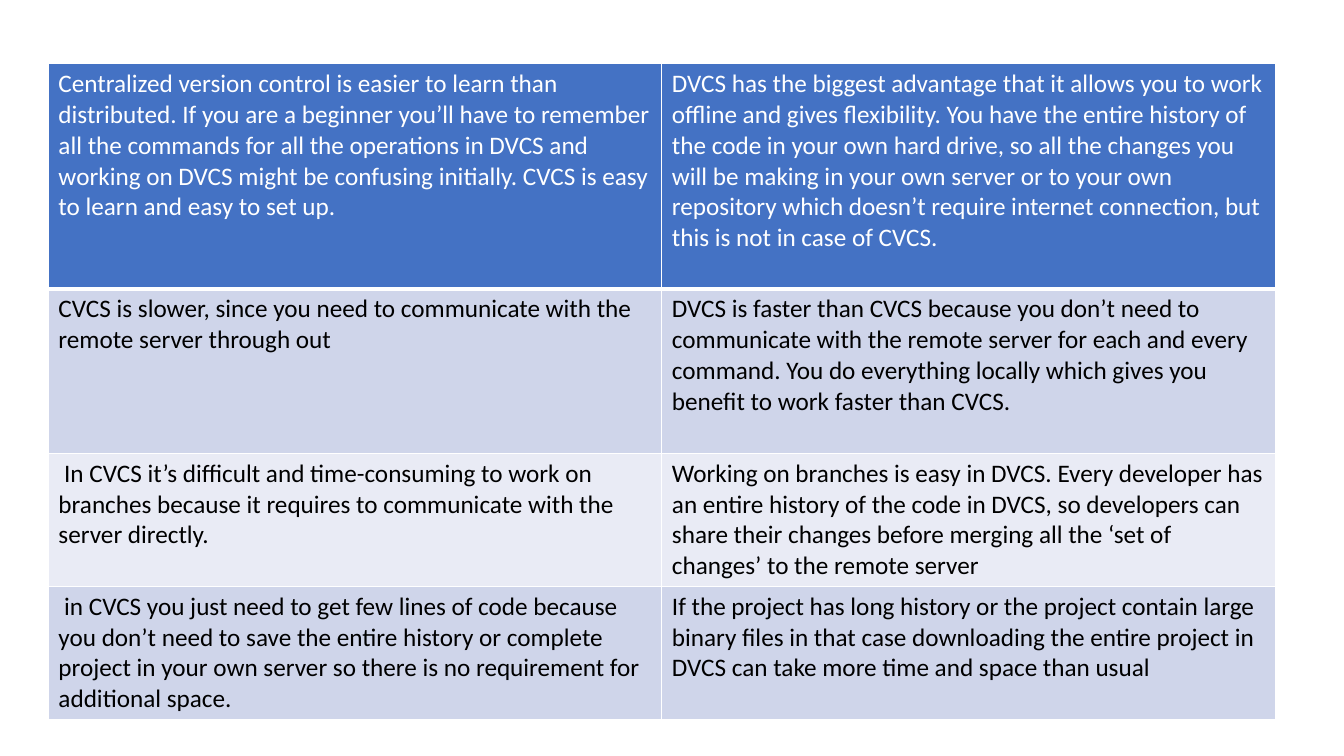
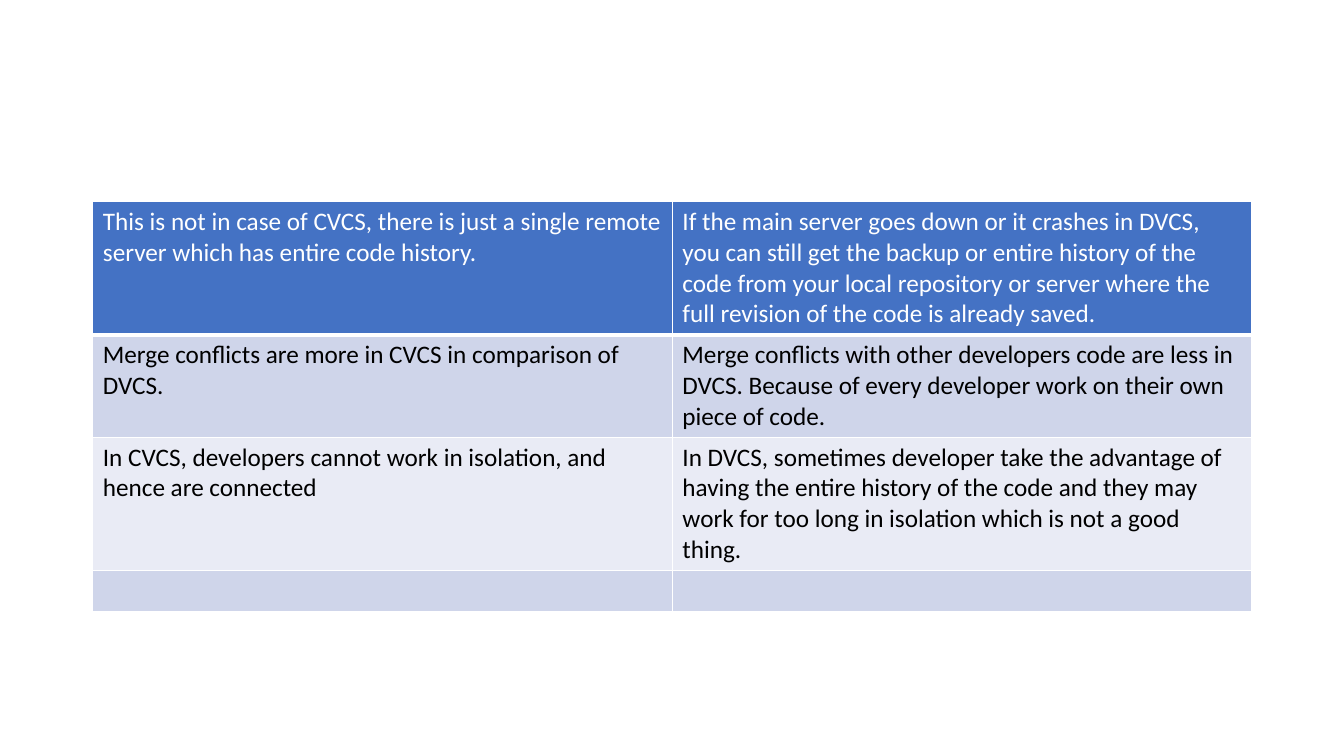
from dataclasses import dataclass

from lxml import etree
from pptx import Presentation
from pptx.dml.color import RGBColor
from pptx.oxml.ns import qn
from pptx.slide import Slide
from pptx.table import _Cell
from pptx.util import Cm, Pt

WHITE, BLACK = "FFFFFF", "000000"
HEAD = "4472C4"
BANDS = ("E9EBF5", "CFD5EA")
FONT = {"name": "Calibri", "size": Pt(18), "bold": False}
SIDES = ("lnL", "lnR", "lnT", "lnB")
THIN, THICK = 1, 3
BLANK = 6


@dataclass(frozen=True)
class Row:
    """One table row: its height in cm and its two texts."""
    high: float
    left: str = ""
    right: str = ""


@dataclass(frozen=True)
class Grid:
    """A two-column table with its place and width in cm."""
    left: float
    top: float
    wide: float
    rows: tuple[Row, ...]


GRIDS = (
    Grid(1.22, 1.61, 30.92, (
        Row(5.67,
            "Centralized version control is easier to learn than distributed. "
            "If you are a beginner you’ll have to remember all the commands for "
            "all the operations in DVCS and working on DVCS might be confusing "
            "initially. CVCS is easy to learn and easy to set up.",
            "DVCS has the biggest advantage that it allows you to work offline "
            "and gives flexibility. You have the entire history of the code in "
            "your own hard drive, so all the changes you will be making in your "
            "own server or to your own repository which doesn’t require internet "
            "connection, but this is not in case of CVCS."),
        Row(4.14,
            "CVCS is slower, since you need to communicate with the remote "
            "server through out",
            "DVCS is faster than CVCS because you don’t need to communicate with "
            "the remote server for each and every command. You do everything "
            "locally which gives you benefit to work faster than CVCS."),
        Row(3.35,
            " In CVCS it’s difficult and time-consuming to work on branches "
            "because it requires to communicate with the server directly.",
            "Working on branches is easy in DVCS. Every developer has an entire "
            "history of the code in DVCS, so developers can share their changes "
            "before merging all the ‘set of changes’ to the remote server"),
        Row(3.35,
            " in CVCS you just need to get few lines of code because you don’t "
            "need to save the entire history or complete project in your own "
            "server so there is no requirement for additional space.",
            "If the project has long history or the project contain large binary "
            "files in that case downloading the entire project in DVCS can take "
            "more time and space than usual"),
    )),
    Grid(2.34, 5.08, 29.21, (
        Row(3.35,
            "This is not in case of CVCS, there is just a single remote server "
            "which has entire code history.",
            "If the main server goes down or it crashes in DVCS, you can still "
            "get the backup or entire history of the code from your local "
            "repository or server where the full revision of the code is already "
            "saved."),
        Row(2.57,
            "Merge conflicts are more in CVCS in comparison of DVCS.",
            "Merge conflicts with other developers code are less in DVCS. "
            "Because of every developer work on their own piece of code."),
        Row(3.35,
            "In CVCS, developers cannot work in isolation, and hence are connected",
            "In DVCS, sometimes developer take the advantage of having the entire "
            "history of the code and they may work for too long in isolation "
            "which is not a good thing. "),
        Row(1.03),
    )),
)


def paint(target, shade: str) -> None:
    """Give a fill or a font colour its hex shade."""
    target.rgb = RGBColor.from_string(shade)


def edge(cell: _Cell, side: str, width: float) -> None:
    """Add one white border line to a cell."""
    props = cell._tc.get_or_add_tcPr()
    line = etree.Element(qn(f"a:{side}"), w=str(Pt(width)))
    fill = etree.SubElement(line, qn("a:solidFill"))
    etree.SubElement(fill, qn("a:srgbClr"), val=WHITE)
    props.insert(SIDES.index(side), line)


def style(cell: _Cell, text: str, line: int) -> None:
    """Fill, border and write the cell of the given row number."""
    head = line == 0
    cell.fill.solid()
    paint(cell.fill.fore_color, HEAD if head else BANDS[line % 2])
    for side in SIDES:
        heavy = (head and side == "lnB") or (line == 1 and side == "lnT")
        edge(cell, side, THICK if heavy else THIN)
    if text:
        run = cell.text_frame.paragraphs[0].add_run()
        run.text = text
        for key, value in FONT.items():
            setattr(run.font, key, value)
        paint(run.font.color, WHITE if head else BLACK)


def draw(slide: Slide, grid: Grid) -> None:
    """Draw a two-column table on a slide."""
    high = sum(row.high for row in grid.rows)
    frame = slide.shapes.add_table(
        len(grid.rows), 2, Cm(grid.left), Cm(grid.top), Cm(grid.wide), Cm(high))
    table = frame.table
    for line, row in enumerate(grid.rows):
        table.rows[line].height = Cm(row.high)
        for col, text in enumerate((row.left, row.right)):
            style(table.cell(line, col), text, line)


def main() -> None:
    """Build and save the deck."""
    deck = Presentation()
    deck.slide_width, deck.slide_height = Cm(33.87), Cm(19.05)
    for grid in GRIDS:
        draw(deck.slides.add_slide(deck.slide_layouts[BLANK]), grid)
    deck.save("out.pptx")


if __name__ == "__main__":
    main()
